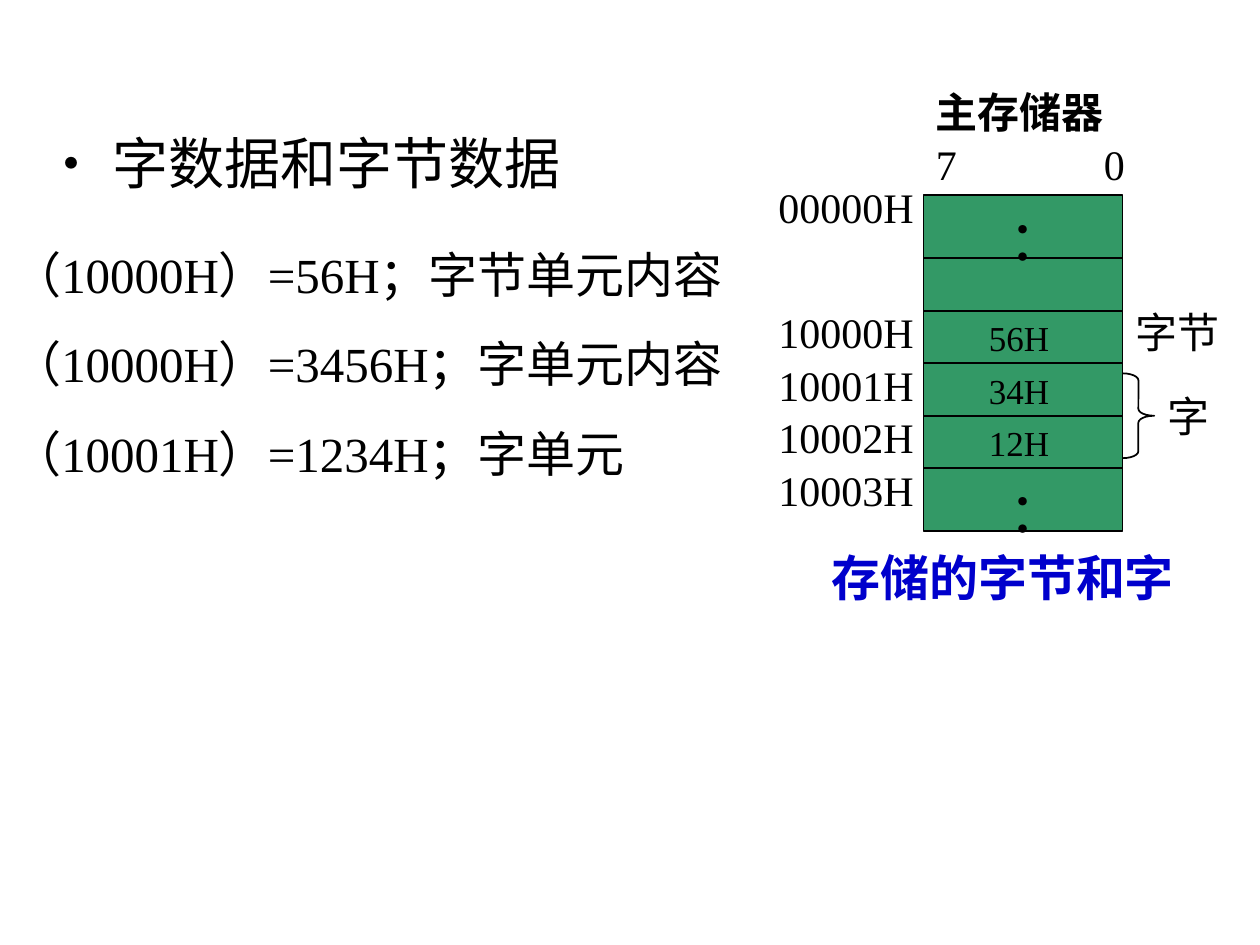
from lxml import etree
from pptx import Presentation
from pptx.dml.color import RGBColor
from pptx.enum.shapes import MSO_CONNECTOR, MSO_SHAPE
from pptx.oxml.ns import qn
from pptx.util import Inches, Pt

RECTANGLE = MSO_SHAPE.RECTANGLE
RIGHT_BRACE = MSO_SHAPE.RIGHT_BRACE
STRAIGHT = MSO_CONNECTOR.STRAIGHT

COLORS = {"ink": "000000", "memory": "339966", "caption": "0000CC"}
FONT = "Times New Roman"
CHINESE_FONT = "宋体"
BLANK_LAYOUT = 6

ROW = 5 / 12        # height of one byte cell, in inches
END_ROW = 0.5       # height of the first and last memory cell
LABEL_HEIGHT = 0.5
LABEL_RISE = 0.08   # labels start this far above their row


def color(name):
    return RGBColor.from_string(COLORS[name])


def add_text(slide, box, *lines, size=24, bold=False, ink="ink",
             space_before=0, vertical=False, right_tab=None):
    """Add a text box with one paragraph for each line."""
    text_box = slide.shapes.add_textbox(*map(Inches, box))
    frame = text_box.text_frame
    frame.word_wrap = True
    if vertical:
        frame.margin_left = frame.margin_right = Inches(0.05)
        frame.margin_top = frame.margin_bottom = Inches(0.1)
        frame._txBody.bodyPr.set("vert", "eaVert")
    for index, line in enumerate(lines):
        paragraph = frame.paragraphs[0] if index == 0 else frame.add_paragraph()
        paragraph.space_before = Pt(space_before)
        if right_tab:
            tabs = etree.SubElement(paragraph._p.get_or_add_pPr(), qn("a:tabLst"))
            etree.SubElement(tabs, qn("a:tab"), pos=str(Inches(right_tab)), algn="r")
        run = paragraph.add_run()
        run.text = line
        run.font.size = Pt(size)
        run.font.bold = bold
        run.font.name = FONT
        run.font.color.rgb = color(ink)
        properties = run._r.get_or_add_rPr()
        properties.set("lang", "zh-CN")
        etree.SubElement(properties, qn("a:ea"), typeface=CHINESE_FONT)
    return text_box


def add_outlined(slide, preset, box, fill=None):
    """Add a preset shape with a thin dark outline."""
    shape = slide.shapes.add_shape(preset, *map(Inches, box))
    shape.shadow.inherit = False
    if fill:
        shape.fill.solid()
        shape.fill.fore_color.rgb = color(fill)
    else:
        shape.fill.background()
    shape.line.color.rgb = color("ink")
    shape.line.width = Pt(1)
    return shape


def add_divider(slide, left, right, y):
    line = slide.shapes.add_connector(STRAIGHT, *map(Inches, (left, y, right, y)))
    line.line.color.rgb = color("ink")
    line.line.width = Pt(1)
    etree.SubElement(line._element.spPr, qn("a:effectLst"))


def add_explanation(slide, left, top, width):
    """Heading and the three examples of memory contents."""
    add_text(slide, (left + 0.25, top, width * 0.65, 0.64),
             "• 字数据和字节数据", size=32)
    add_text(slide, (left, top + 0.92, width, 1.99),
             "（10000H）=56H；字节单元内容",
             "（10000H）=3456H；字单元内容",
             "（10001H）=1234H；字单元",
             size=28, space_before=17.5)


def add_memory(slide, left, top, width):
    """Memory column with its addresses, contents and side labels."""
    row_tops = [top + END_ROW + index * ROW for index in range(5)]
    height = 2 * END_ROW + 4 * ROW
    right = left + width

    # Column of cells
    add_outlined(slide, RECTANGLE, (left, top, width, height), fill="memory")
    for y in row_tops:
        add_divider(slide, left, right, y)

    # Name and bit numbers above the column
    add_text(slide, (left, top - 0.91, 2.08, LABEL_HEIGHT), "主存储器", bold=True)
    add_text(slide, (left, top - LABEL_HEIGHT, 2.25, LABEL_HEIGHT), "7\t0",
             right_tab=1.5)

    # Addresses on the left
    addresses = ["00000H", "10000H", "10001H", "10002H", "10003H"]
    address_tops = [top - LABEL_RISE] + row_tops[1:]
    for address, y in zip(addresses, address_tops):
        add_text(slide, (left - 1.25, y - LABEL_RISE, 1.67, LABEL_HEIGHT), address)

    # Contents, with dots for the cells left out
    for value, y in zip(["56H", "34H", "12H"], row_tops[1:]):
        add_text(slide, (left + 0.42, y, 1, 0.44), value, size=20)
    for y, dots_height in ((top + 0.09, 1), (row_tops[4] + 0.08, 0.83)):
        add_text(slide, (left + 0.26, y, 0.73, dots_height), "：",
                 size=32, vertical=True)

    # Byte and word labels on the right
    add_text(slide, (right, row_tops[1] - LABEL_RISE, 1.08, LABEL_HEIGHT), "字节")
    brace = add_outlined(slide, RIGHT_BRACE,
                         (right, row_tops[2] + LABEL_RISE, 0.25, 2 * ROW - 2 * LABEL_RISE))
    brace.adjustments[0] = 0.22
    add_text(slide, (right + 0.26, row_tops[3] - 0.25, 0.6, LABEL_HEIGHT), "字")

    # Caption
    add_text(slide, (left - 0.83, top + height + 0.08, 3.25, 0.57),
             "存储的字节和字", size=28, bold=True, ink="caption")


def main():
    presentation = Presentation()
    presentation.slide_width = Inches(10)
    presentation.slide_height = Inches(7.5)
    slide = presentation.slides.add_slide(presentation.slide_layouts[BLANK_LAYOUT])
    add_explanation(slide, left=0, top=0.97, width=7.17)
    add_memory(slide, left=7.33, top=1.55, width=1.58)
    presentation.save("out.pptx")


if __name__ == "__main__":
    main()
